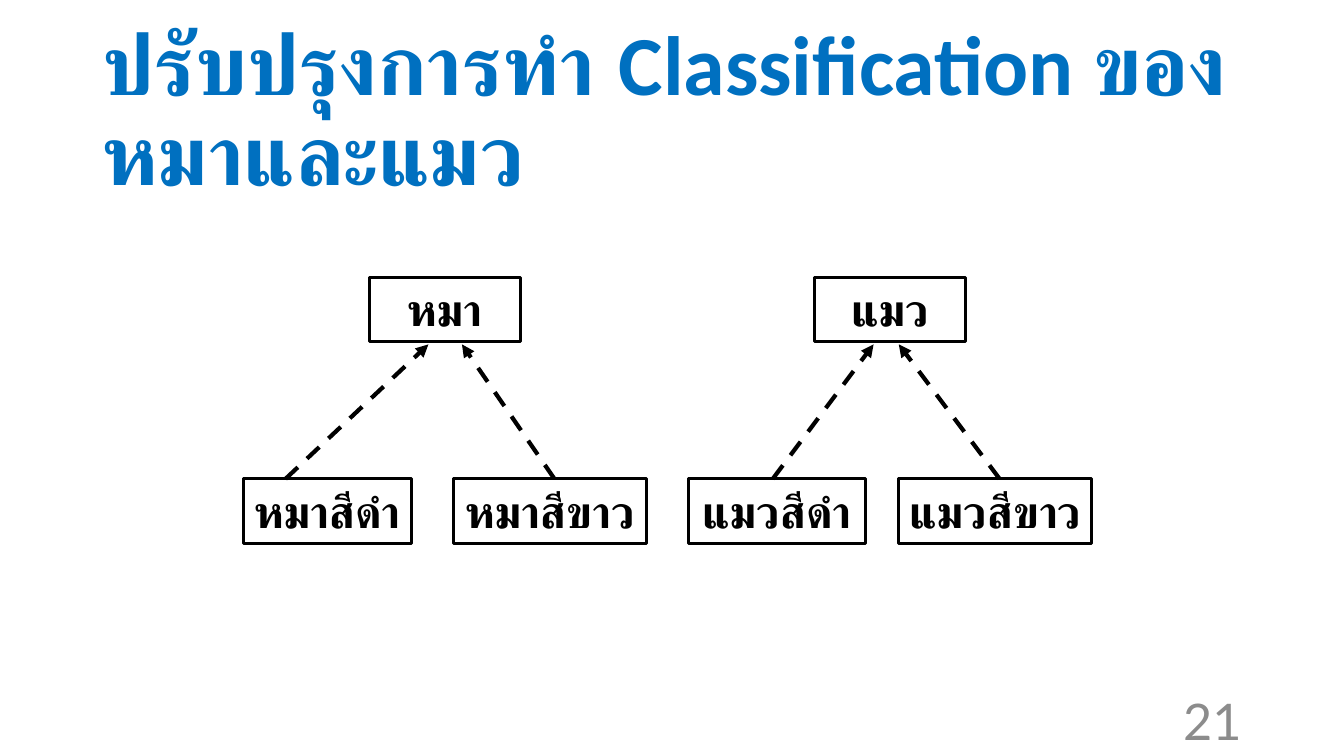
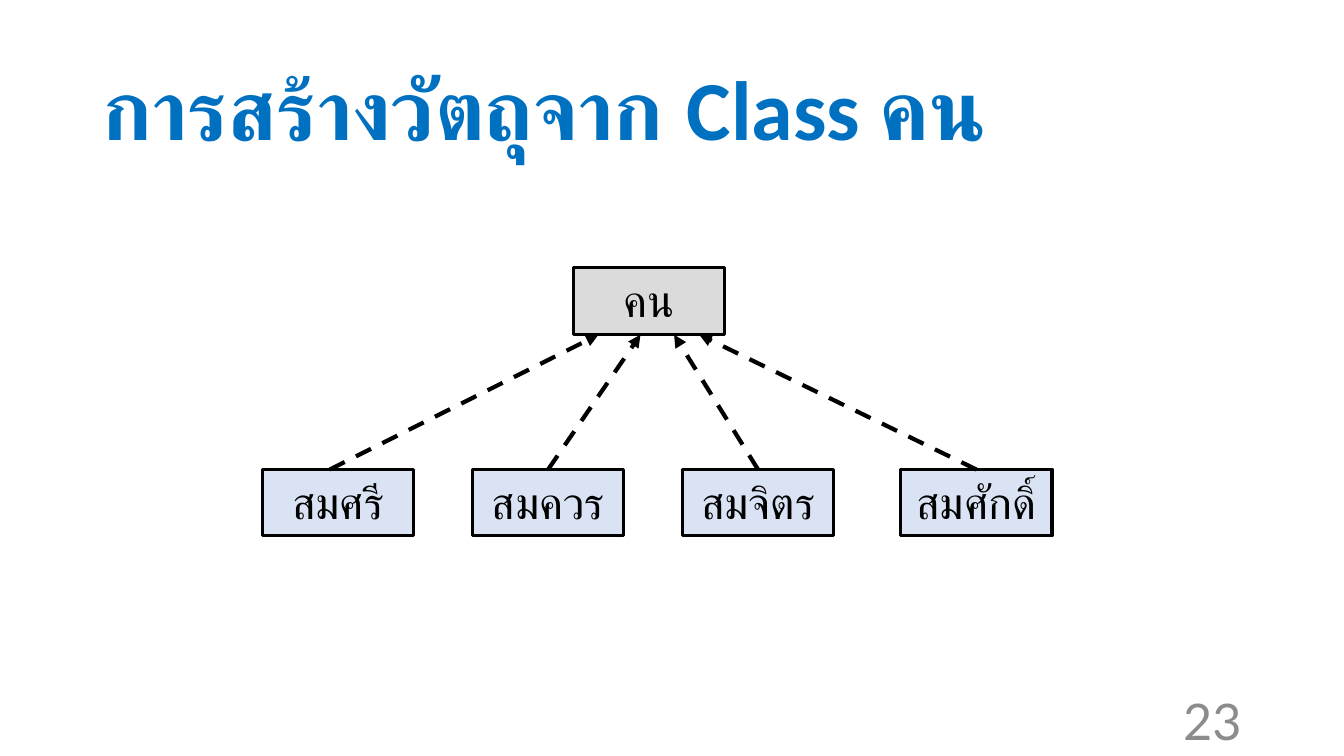
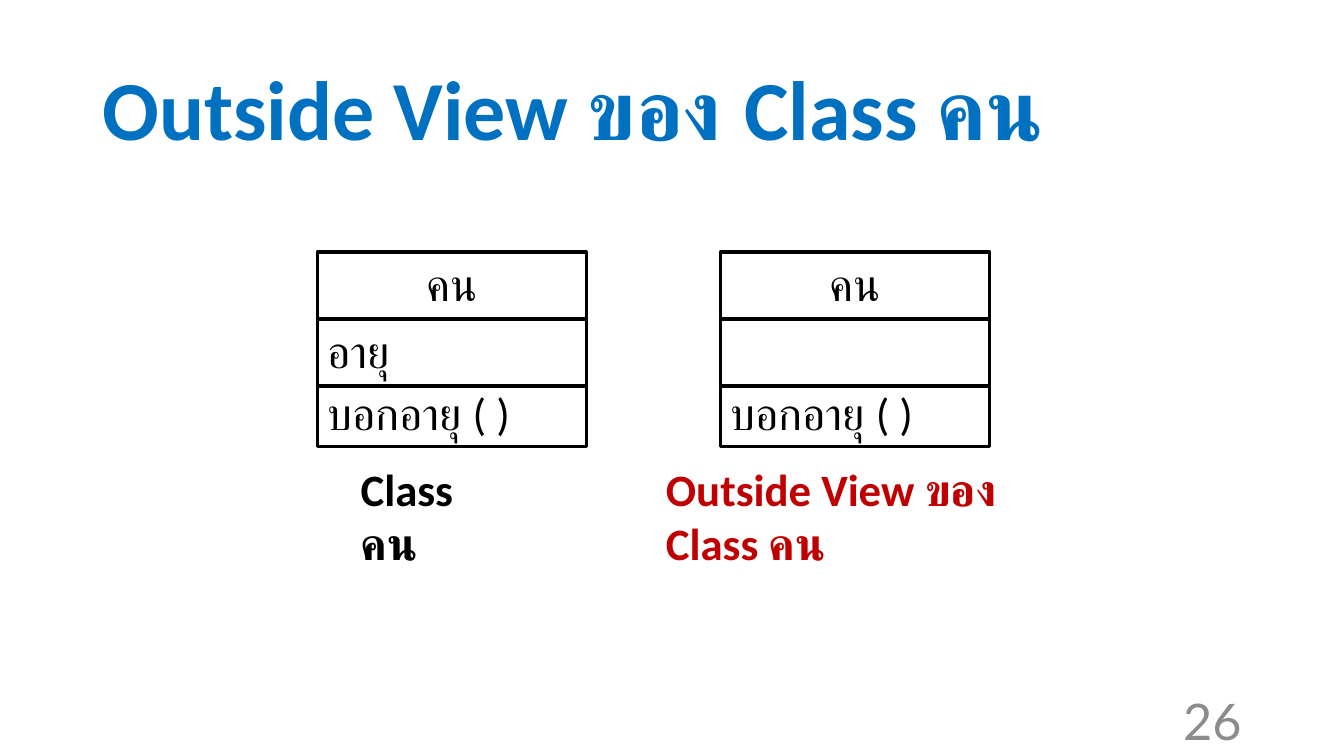
"""Three slides on classes and objects: two class trees and an outside view."""
from dataclasses import dataclass

from lxml import etree
from pptx import Presentation
from pptx.dml.color import RGBColor
from pptx.enum.dml import MSO_LINE
from pptx.enum.shapes import MSO_CONNECTOR, MSO_SHAPE
from pptx.enum.text import MSO_ANCHOR, MSO_AUTO_SIZE, PP_ALIGN
from pptx.oxml.ns import qn
from pptx.util import Inches, Pt

RECT, STRAIGHT, DASH = MSO_SHAPE.RECTANGLE, MSO_CONNECTOR.STRAIGHT, MSO_LINE.DASH
TOP, MIDDLE = MSO_ANCHOR.TOP, MSO_ANCHOR.MIDDLE
FIXED, GROW = MSO_AUTO_SIZE.NONE, MSO_AUTO_SIZE.SHAPE_TO_FIT_TEXT
LEFT, CENTER, RIGHT = PP_ALIGN.LEFT, PP_ALIGN.CENTER, PP_ALIGN.RIGHT


@dataclass(frozen=True)
class Theme:
    title: str = "0070C0"
    number: str = "8C8C8C"
    ink: str = "000000"
    accent: str = "C00000"
    parent: str = "DBDBDB"
    child: str = "DAE3F3"
    main_font: str = "Calibri"
    alt_font: str = "Lato"
    title_size: int = 60
    number_size: int = 36
    text_size: int = 32
    box_line: float = 2.25
    arrow_line: float = 3


T = Theme()
COLS, ROWS = 160, 90
CELL = Inches(1) // 12


def grid(*cells):
    return [round(c * CELL) for c in cells]


def write(sp, text, color=T.ink, size=T.text_size, font=T.main_font, bold=False,
          align=LEFT, anchor=TOP, fit=GROW, spacing=1.0):
    tf = sp.text_frame
    tf.word_wrap, tf.auto_size, tf.vertical_anchor = True, fit, anchor
    p = tf.paragraphs[0]
    p.alignment, p.line_spacing = align, spacing
    r = p.add_run()
    r.text = text
    r.font.name, r.font.size, r.font.bold = font, Pt(size), bold
    r.font.color.rgb = RGBColor.from_string(color)


prs = Presentation()
prs.slide_width, prs.slide_height = grid(COLS, ROWS)
layout = prs.slide_layouts[5]
title = layout.placeholders[0]
title.left, title.top, title.width, title.height = grid(11, 4.8, 138, 17.4)

slides = []
for heading, number in (
    ("ปรับปรุงการทำ Classification ของหมาและแมว", "21"),
    ("การสร้างวัตถุจาก Class คน", "23"),
    ("Outside View ของ Class คน", "26"),
):
    s = prs.slides.add_slide(layout)
    write(s.shapes.title, heading, T.title, T.title_size, bold=True,
          anchor=MIDDLE, fit=FIXED, spacing=0.9)
    sp = s.shapes.add_textbox(*grid(113, 83.4, 36, 4.8))
    write(sp, number, T.number, T.number_size, T.alt_font,
          align=RIGHT, anchor=MIDDLE, fit=FIXED)
    slides.append(s)
animals, people, views = slides

boxes = []
for text, x, y, w in (
    ("หมา", 44, 33, 18), ("แมว", 97, 33, 18),
    ("หมาสีดำ", 29, 57, 20), ("หมาสีขาว", 54, 57, 23),
    ("แมวสีดำ", 82, 57, 21), ("แมวสีขาว", 107, 57, 23),
):
    boxes.append((animals, text, (x, y, w, 7.7), None, T.main_font, True, CENTER, 1.0))

boxes.append((people, "คน", (68.25, 31.9, 18, 7.9), T.parent, T.alt_font, False, CENTER, 1.0))
for text, x in (("สมศรี", 31.25), ("สมควร", 56.25), ("สมจิตร", 81.25), ("สมศักดิ์", 107.25)):
    boxes.append((people, text, (x, 55.9, 18, 7.9), T.child, T.alt_font, False, CENTER, 1.0))

for x, attribute in ((37.8, "อายุ"), (85.8, "")):
    for text, y, h, align, spacing in (
        ("คน", 30, 7.9, CENTER, 1.0),
        (attribute, 38, 7.9, LEFT, 1.0),
        ("บอกอายุ ( )", 46, 7.2, LEFT, 0.9),
    ):
        boxes.append((views, text, (x, y, 32, h), None, T.main_font, False, align, spacing))

for s, text, place, fill, font, bold, align, spacing in boxes:
    sp = s.shapes.add_shape(RECT, *grid(*place))
    sp.shadow.inherit = False
    sp.line.color.rgb = RGBColor.from_string(T.ink)
    sp.line.width = Pt(T.box_line)
    if fill:
        sp.fill.solid()
        sp.fill.fore_color.rgb = RGBColor.from_string(fill)
    else:
        sp.fill.background()
    if text:
        write(sp, text, font=font, bold=bold, align=align, spacing=spacing)

for s, y_from, y_to, spans in (
    (animals, 57, 41, ((34, 51), (66, 55), (92, 104), (119, 107))),
    (people, 55.9, 39.85, ((39.25, 71.25), (65.25, 76.25), (90.25, 80.25), (116.25, 83.25))),
):
    for x_from, x_to in spans:
        arrow = s.shapes.add_connector(STRAIGHT, *grid(x_from, y_from, x_to, y_to))
        arrow.line.color.rgb = RGBColor.from_string(T.ink)
        arrow.line.width, arrow.line.dash_style = Pt(T.arrow_line), DASH
        etree.SubElement(arrow.line._get_or_add_ln(), qn("a:tailEnd"), type="triangle")
        etree.SubElement(arrow._element.spPr, qn("a:effectLst"))

for text, x, w, color in (
    ("Class คน", 41.75, 16.8, T.ink),
    ("Outside View ของ Class คน", 78.1, 47.9, T.accent),
):
    sp = views.shapes.add_textbox(*grid(x, 54.4, w, 7.7))
    write(sp, text, color, bold=True)

prs.save("out.pptx")
